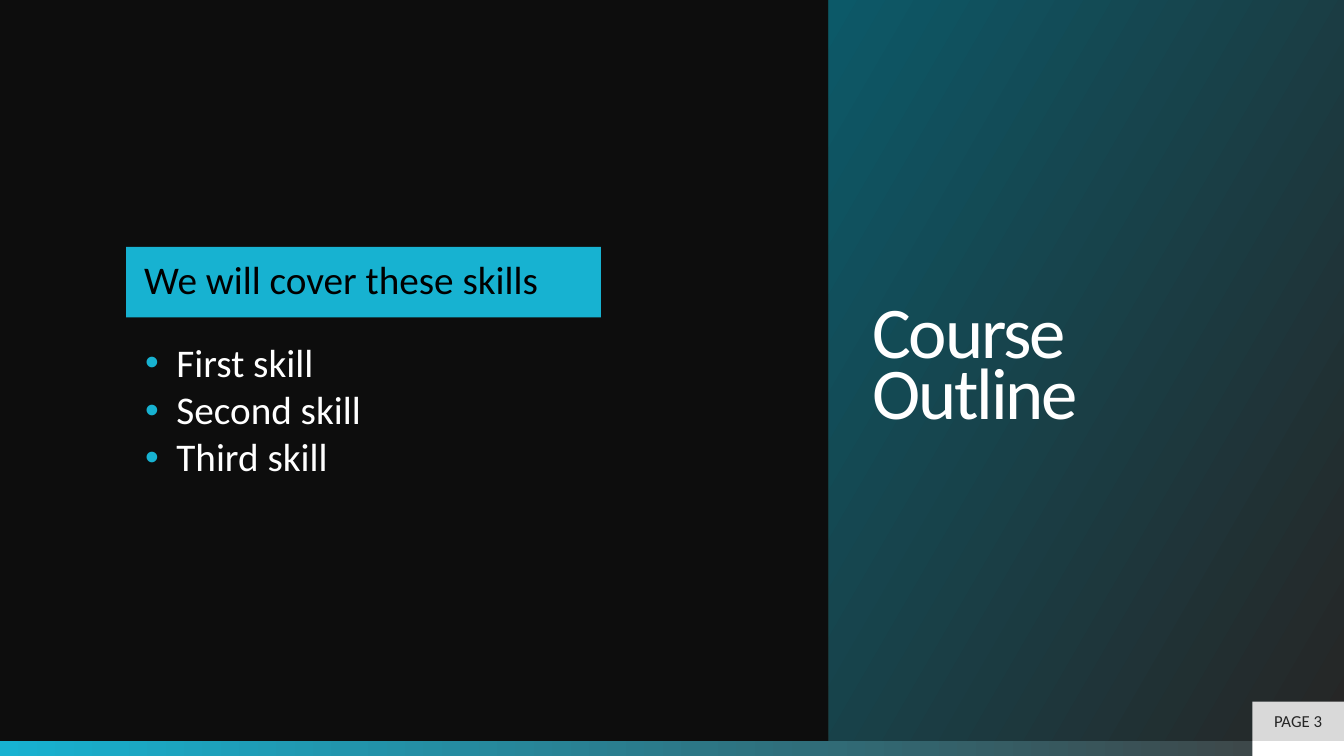
"""Build the course outline slide."""
import lxml.etree
import pptx
import pptx.dml.color
import pptx.enum.shapes
import pptx.enum.text
import pptx.oxml.ns
import pptx.util

Inches = pptx.util.Inches
Pt = pptx.util.Pt
RGBColor = pptx.dml.color.RGBColor
ALIGN = pptx.enum.text.PP_ALIGN
ANCHOR = pptx.enum.text.MSO_ANCHOR

BACKGROUND = RGBColor(0x0D, 0x0D, 0x0D)
CYAN = RGBColor(0x17, 0xB2, 0xD1)
TEAL = RGBColor(0x0C, 0x59, 0x68)
GREY = RGBColor(0x40, 0x40, 0x40)
CHARCOAL = RGBColor(0x26, 0x26, 0x26)
SILVER = RGBColor(0xD9, 0xD9, 0xD9)
WHITE = RGBColor(0xFF, 0xFF, 0xFF)
BLACK = RGBColor(0x00, 0x00, 0x00)

FONT = "Calibri"
WIDTH, HEIGHT = 13.33, 7.5
BAR_TOP = 7.35
PANEL_LEFT = 8.22
PAGE_LEFT = 12.42
PAGE_TOP = 6.96
HEADING_BOX = (1.25, 2.45, 4.71, 0.7)
SKILLS_BOX = (0.92, 2.1, 6.73, 3.13)
SKILLS = ("First skill", "Second skill", "Third skill")


def add_rectangle(slide, box):
    """Add a rectangle without line or shadow."""
    shape = slide.shapes.add_shape(
        pptx.enum.shapes.MSO_SHAPE.RECTANGLE, *map(Inches, box))
    shape.shadow.inherit = False
    shape.line.fill.background()
    return shape


def add_solid(slide, box, color):
    """Add a rectangle in one colour."""
    shape = add_rectangle(slide, box)
    shape.fill.solid()
    shape.fill.fore_color.rgb = color
    return shape


def add_gradient(slide, box, stops, angle):
    """Add a rectangle with a two-stop linear gradient."""
    shape = add_rectangle(slide, box)
    shape.fill.gradient()
    shape.fill.gradient_angle = angle
    for stop, (position, color) in zip(shape.fill.gradient_stops, stops):
        stop.position = position
        stop.color.rgb = color
    return shape


def set_frame(shape, insets, anchor):
    """Set wrapping, insets and anchor, and return the text frame."""
    frame = shape.text_frame
    frame.word_wrap = True
    frame.vertical_anchor = anchor
    (frame.margin_left, frame.margin_top,
     frame.margin_right, frame.margin_bottom) = map(Inches, insets)
    return frame


def add_run(paragraph, text, size, color):
    """Add one run of text."""
    run = paragraph.add_run()
    run.text = text
    run.font.name = FONT
    run.font.size = Pt(size)
    run.font.color.rgb = color
    return run


def add_bullet(paragraph, color):
    """Give a paragraph a coloured bullet and a hanging indent."""
    properties = paragraph._p.get_or_add_pPr()
    properties.set("marL", str(Inches(0.31)))
    properties.set("indent", str(Inches(-0.31)))
    qualified = pptx.oxml.ns.qn
    bullet_color = lxml.etree.SubElement(properties, qualified("a:buClr"))
    lxml.etree.SubElement(
        bullet_color, qualified("a:srgbClr"), val=str(color))
    lxml.etree.SubElement(properties, qualified("a:buFont"), typeface="Arial")
    lxml.etree.SubElement(properties, qualified("a:buChar"), char="•")


def add_title(slide, lines):
    """Add the gradient panel with the slide title."""
    panel = add_gradient(
        slide, (PANEL_LEFT, 0, WIDTH - PANEL_LEFT, BAR_TOP),
        ((0.01, CHARCOAL), (1, TEAL)), 150)
    frame = set_frame(panel, (0.43, 0.05, 0.43, 0.05), ANCHOR.MIDDLE)
    paragraph = frame.paragraphs[0]
    paragraph.alignment = ALIGN.LEFT
    paragraph.line_spacing = 0.7
    for index, line in enumerate(lines):
        if index:
            paragraph.add_line_break()
        run = add_run(paragraph, line, 52, WHITE)
        run.font._element.set("spc", "-150")


def add_page_label(slide, text):
    """Add the page label in the corner."""
    box = (PAGE_LEFT, PAGE_TOP, WIDTH - PAGE_LEFT, BAR_TOP - PAGE_TOP)
    label = add_solid(slide, box, SILVER)
    frame = set_frame(label, (0.1, 0.05, 0.1, 0.05), ANCHOR.MIDDLE)
    paragraph = frame.paragraphs[0]
    paragraph.alignment = ALIGN.CENTER
    add_run(paragraph, text, 12, CHARCOAL)


def add_heading(slide, text):
    """Add the heading band above the skills."""
    band = add_solid(slide, HEADING_BOX, CYAN)
    frame = set_frame(band, (0.18, 0, 0.18, 0), ANCHOR.MIDDLE)
    paragraph = frame.paragraphs[0]
    paragraph.alignment = ALIGN.LEFT
    paragraph.line_spacing = 0.9
    add_run(paragraph, text, 28, BLACK)


def add_skills(slide, skills):
    """Add the bulleted list of skills."""
    text_box = slide.shapes.add_textbox(*map(Inches, SKILLS_BOX))
    frame = set_frame(text_box, (0.52, 1.48, 0.52, 0.22), ANCHOR.TOP)
    for index, skill in enumerate(skills):
        paragraph = frame.add_paragraph() if index else frame.paragraphs[0]
        paragraph.line_spacing = 0.9
        paragraph.space_after = Pt(3.5)
        add_bullet(paragraph, CYAN)
        add_run(paragraph, skill, 28, WHITE)


def main():
    """Build and save the presentation."""
    presentation = pptx.Presentation()
    presentation.slide_width = Inches(WIDTH)
    presentation.slide_height = Inches(HEIGHT)
    slide = presentation.slides.add_slide(presentation.slide_layouts[6])
    slide.background.fill.solid()
    slide.background.fill.fore_color.rgb = BACKGROUND

    bar_height = HEIGHT - BAR_TOP
    add_gradient(slide, (0, BAR_TOP, WIDTH, bar_height),
                 ((0, CYAN), (1, GREY)), 0)
    add_solid(slide, (PAGE_LEFT, BAR_TOP, WIDTH - PAGE_LEFT, bar_height),
              WHITE)
    add_title(slide, ("Course", "Outline"))
    add_page_label(slide, "PAGE 3")
    add_skills(slide, SKILLS)
    add_heading(slide, "We will cover these skills")
    presentation.save("out.pptx")


if __name__ == "__main__":
    main()
